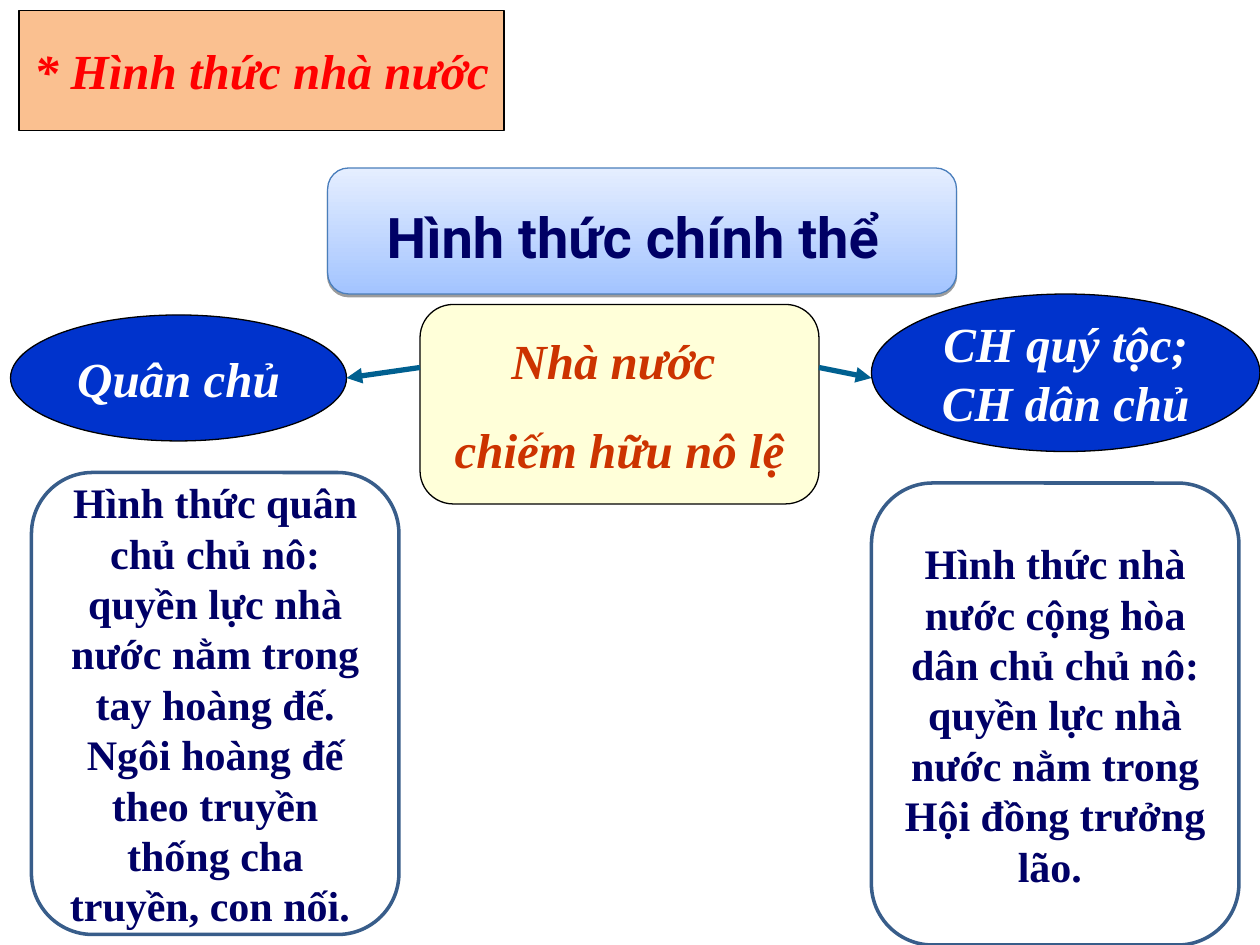
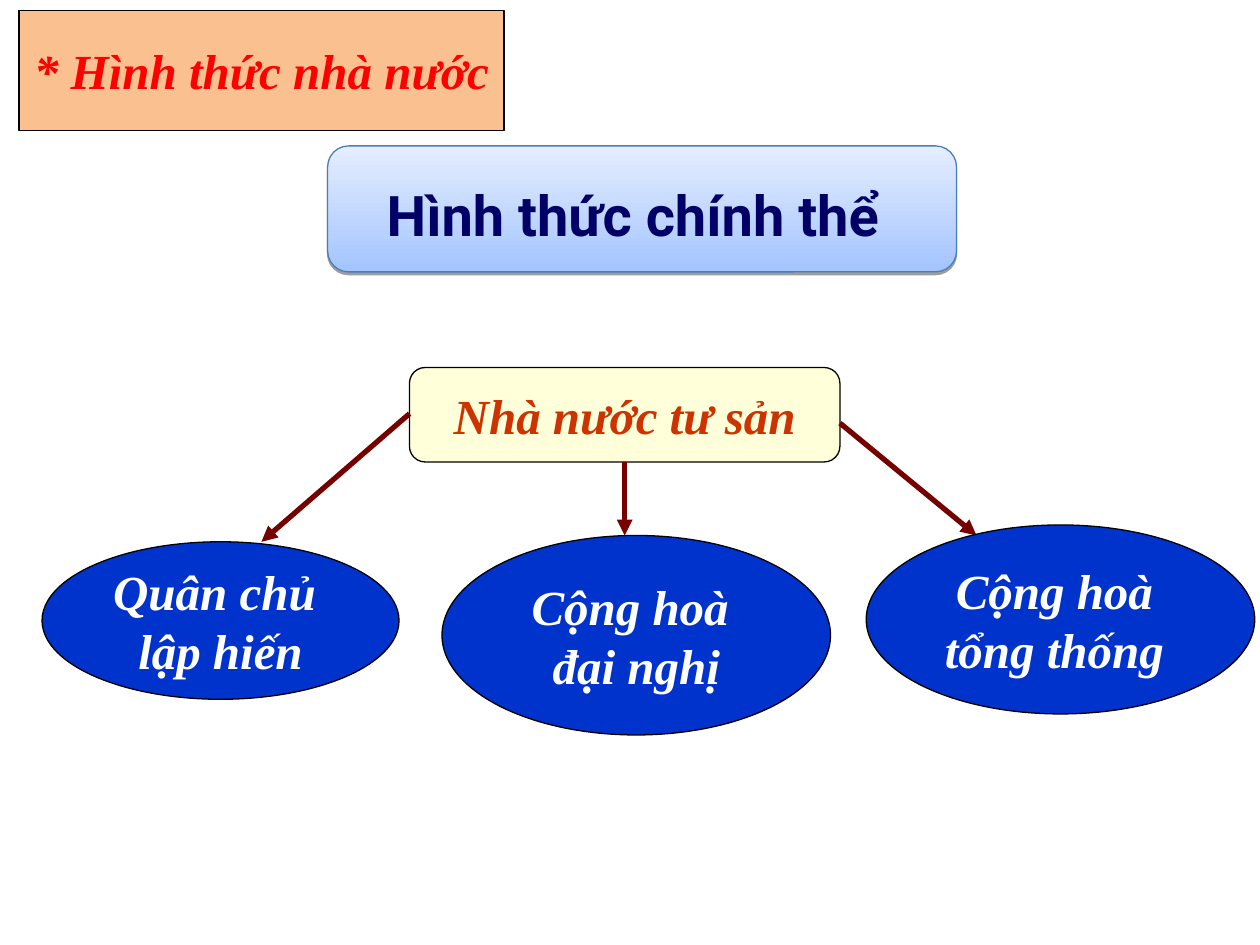
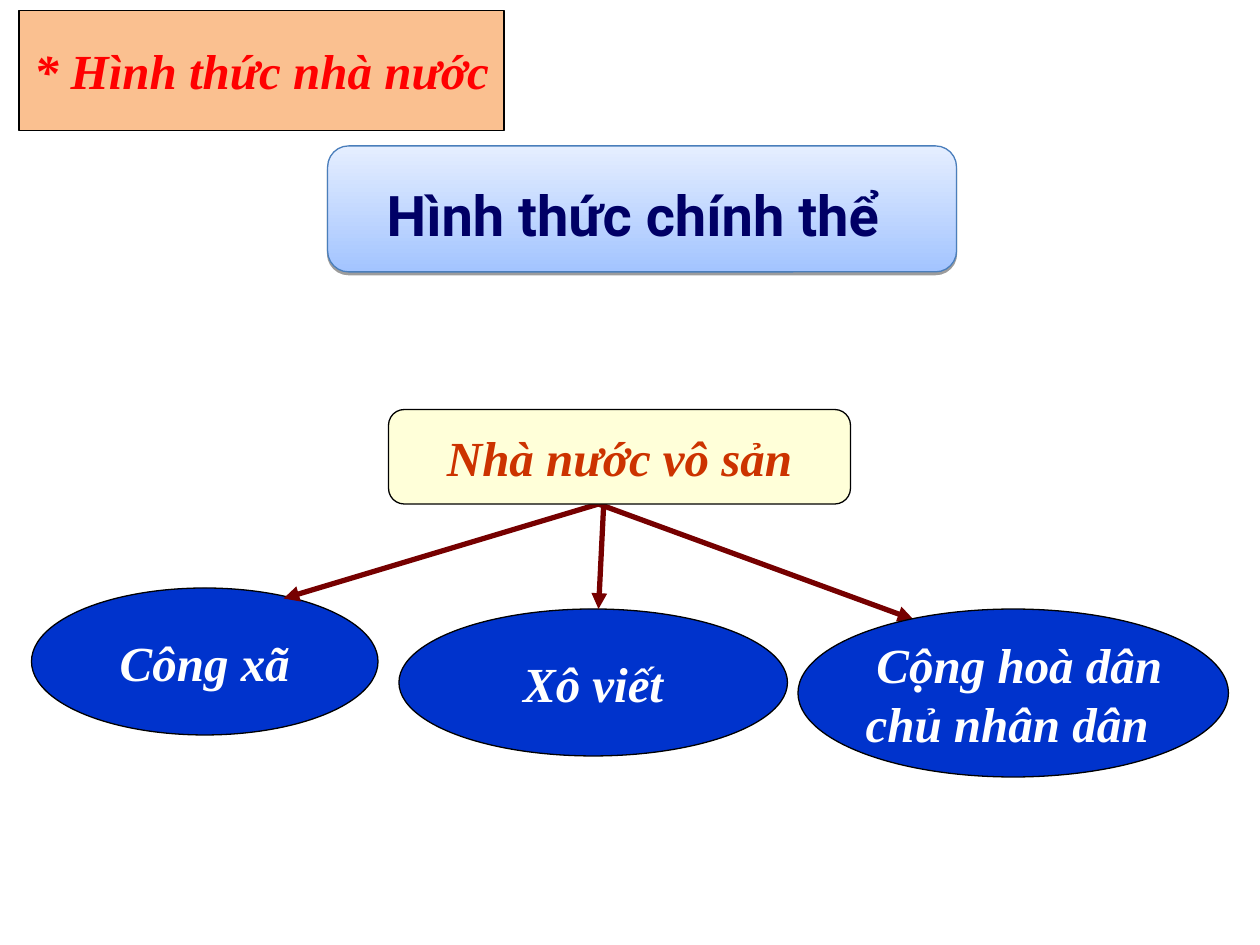
from lxml.etree import SubElement as Sub
from pptx import Presentation
from pptx.dml.color import RGBColor as RGB
from pptx.enum.shapes import MSO_CONNECTOR as Conn, MSO_SHAPE as Kind
from pptx.enum.text import MSO_ANCHOR as Anchor, MSO_AUTO_SIZE as Fit, PP_ALIGN as Align
from pptx.oxml.ns import qn
from pptx.util import Inches, Pt

# Shared look
SERIF, SANS = "Times New Roman", "Roboto"
BLACK, WHITE, NAVY = "000000", "FFFFFF", "000066"
PEACH, RED = "FAC090", "FF0000"
CREAM, RUST = "FFFFD9", "CC3300"
BLUE, STEEL = "0033CC", "385D8A"
TEAL, WINE = "006090", "760000"
SKY, PALE, EDGE = "A3C4FF", "E5EEFF", "4A7EBB"

# The slide is a grid of 120 columns and 90 rows
COLS, ROWS = 120, 90
WIDE, HIGH = Inches(10), Inches(7.5)


def grid(*cells):
    """Turn column, row, column, row ... into lengths."""
    return [int(n * (HIGH / ROWS if i % 2 else WIDE / COLS))
            for i, n in enumerate(cells)]


def tint(code):
    return RGB.from_string(code)


def paint(shape, fill, edge, width=0.75):
    shape.fill.solid()
    shape.fill.fore_color.rgb = tint(fill)
    shape.line.color.rgb = tint(edge)
    shape.line.width = Pt(width)


def write(shape, text, color, size=28, face=SERIF, slant=True, wrap=False, gap=0):
    frame = shape.text_frame
    frame.text = text
    frame.auto_size = Fit.NONE
    frame.word_wrap = wrap
    frame.vertical_anchor = Anchor.MIDDLE
    for para in frame.paragraphs:
        para.alignment = Align.CENTER
        para.space_before = Pt(gap)
        for run in para.runs:
            font = run.font
            font.name, font.size = face, Pt(size)
            font.bold, font.italic = True, slant
            font.color.rgb = tint(color)


def block(slide, kind, area, fill, edge, width=0.75):
    shape = slide.shapes.add_shape(kind, *grid(*area))
    shape.shadow.inherit = False
    paint(shape, fill, edge, width)
    return shape


def oval(slide, text, *area):
    write(block(slide, Kind.OVAL, area, BLUE, BLACK), text, WHITE)


def state(slide, text, *area):
    shape = block(slide, Kind.FLOWCHART_ALTERNATE_PROCESS, area, CREAM, BLACK)
    write(shape, text, RUST, gap=17.5)


def note(slide, text, *area):
    shape = block(slide, Kind.ROUNDED_RECTANGLE, area, WHITE, STEEL, 2)
    write(shape, text, NAVY, size=24, slant=False, wrap=True)


def arrow(slide, color, *ends):
    line = slide.shapes.add_connector(Conn.STRAIGHT, *grid(*ends))
    line.line.color.rgb = tint(color)
    line.line.width = Pt(3)
    props = line._element.spPr
    Sub(props.find(qn("a:ln")), qn("a:tailEnd"), type="triangle")
    Sub(props, qn("a:effectLst"))


def tag(slide):
    """Title placeholder shaped as a rounded tag."""
    title = slide.shapes.title
    title.left, title.top, title.width, title.height = grid(1.8, 1, 46.2, 11.4)
    form = Sub(title._element.spPr, qn("a:prstGeom"), prst="flowChartAlternateProcess")
    Sub(form, qn("a:avLst"))
    paint(title, PEACH, BLACK)
    write(title, "* Hình thức nhà nước", RED)


def banner(slide, top):
    """Shaded band with its heading, kept as one group."""
    group = slide.shapes.add_group_shape().shapes
    band = group.add_shape(Kind.ROUNDED_RECTANGLE, *grid(31.2, top, 59.9, 12))
    band.fill.gradient()
    band.fill.gradient_angle = 90
    for stop, code in zip(band.fill.gradient_stops, (SKY, PALE)):
        stop.color.rgb = tint(code)
    band.line.color.rgb = tint(EDGE)
    band.line.width = Pt(0.75)
    # Soft drop shadow
    fx = Sub(band._element.spPr, qn("a:effectLst"))
    drop = Sub(fx, qn("a:outerShdw"), blurRad="0", dist=str(Pt(1.6)),
               dir="5400000", rotWithShape="0")
    shade = Sub(drop, qn("a:srgbClr"), val=BLACK)
    Sub(shade, qn("a:alpha"), val="38000")
    # Heading
    head = group.add_textbox(*grid(30, top - 3.9, 60.6, 20.8))
    write(head, "Hình thức chính thể", NAVY, 32, SANS, slant=False, wrap=True)
    frame = head.text_frame
    frame.margin_left = frame.margin_right = Inches(0.23)
    frame.margin_top = frame.margin_bottom = 0


def start(deck, top):
    slide = deck.slides.add_slide(deck.slide_layouts[5])
    tag(slide)
    banner(slide, top)
    return slide


def slave(deck):
    slide = start(deck, 16)
    state(slide, "Nhà nước \nchiếm hữu nô lệ", 40, 29, 38, 19)
    oval(slide, "Quân chủ", 1, 30, 32, 12)
    oval(slide, "CH quý tộc;\nCH dân chủ", 83, 28, 37, 15)
    arrow(slide, TEAL, 40, 35, 33, 36)
    arrow(slide, TEAL, 78, 35, 83, 36)
    note(slide, "Hình thức quân chủ chủ nô: quyền lực nhà nước nằm trong tay hoàng đế. "
         "Ngôi hoàng đế theo truyền thống cha truyền, con nối. ", 3, 45, 35, 44)
    note(slide, "Hình thức nhà nước cộng hòa dân chủ chủ nô: quyền lực nhà nước "
         "nằm trong Hội đồng trưởng lão. ", 83, 46, 35, 44)


def bourgeois(deck):
    slide = start(deck, 13.9)
    state(slide, "Nhà nước tư sản", 39, 35, 41, 9)
    oval(slide, "Quân chủ \nlập hiến", 4, 51.6, 34, 15)
    oval(slide, "Cộng hoà \nđại nghị", 42.1, 51, 37, 19)
    arrow(slide, WINE, 39, 39.4, 24.9, 51.6)
    arrow(slide, WINE, 80, 40.3, 93, 51)
    oval(slide, "Cộng hoà \ntổng thống ", 82.5, 50, 37, 18)
    arrow(slide, WINE, 59.5, 44, 59.5, 51)


def worker(deck):
    slide = start(deck, 13.9)
    oval(slide, "Công xã", 3, 56, 33, 14)
    oval(slide, "Xô viết", 38, 58, 37, 14)
    arrow(slide, WINE, 57, 48, 87, 59)
    arrow(slide, WINE, 57.5, 48, 57, 58)
    oval(slide, " Cộng hoà dân\nchủ nhân dân ", 76, 58, 41, 16)
    arrow(slide, WINE, 57, 48, 27, 57)
    state(slide, "Nhà nước vô sản", 37, 39, 44, 9)


def main():
    deck = Presentation()
    deck.slide_width, deck.slide_height = WIDE, HIGH
    for build in (slave, bourgeois, worker):
        build(deck)
    deck.save("out.pptx")


if __name__ == "__main__":
    main()
